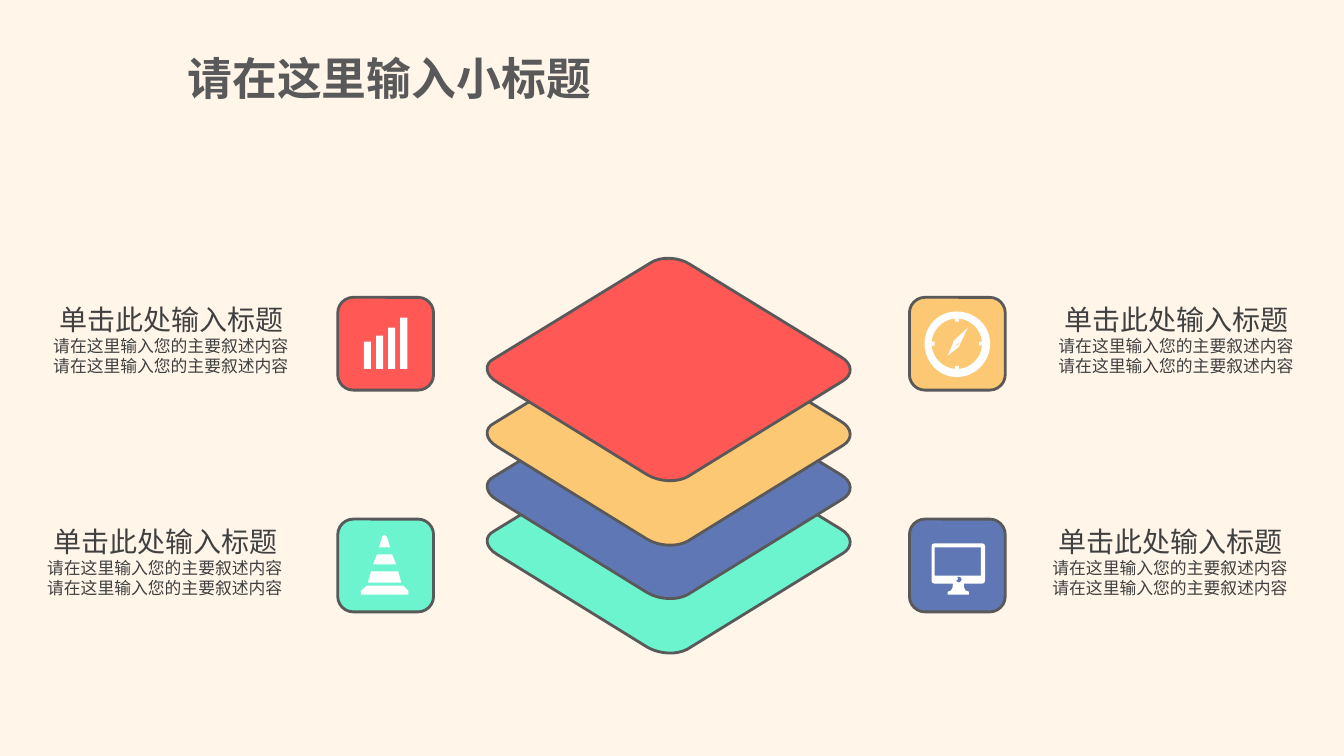
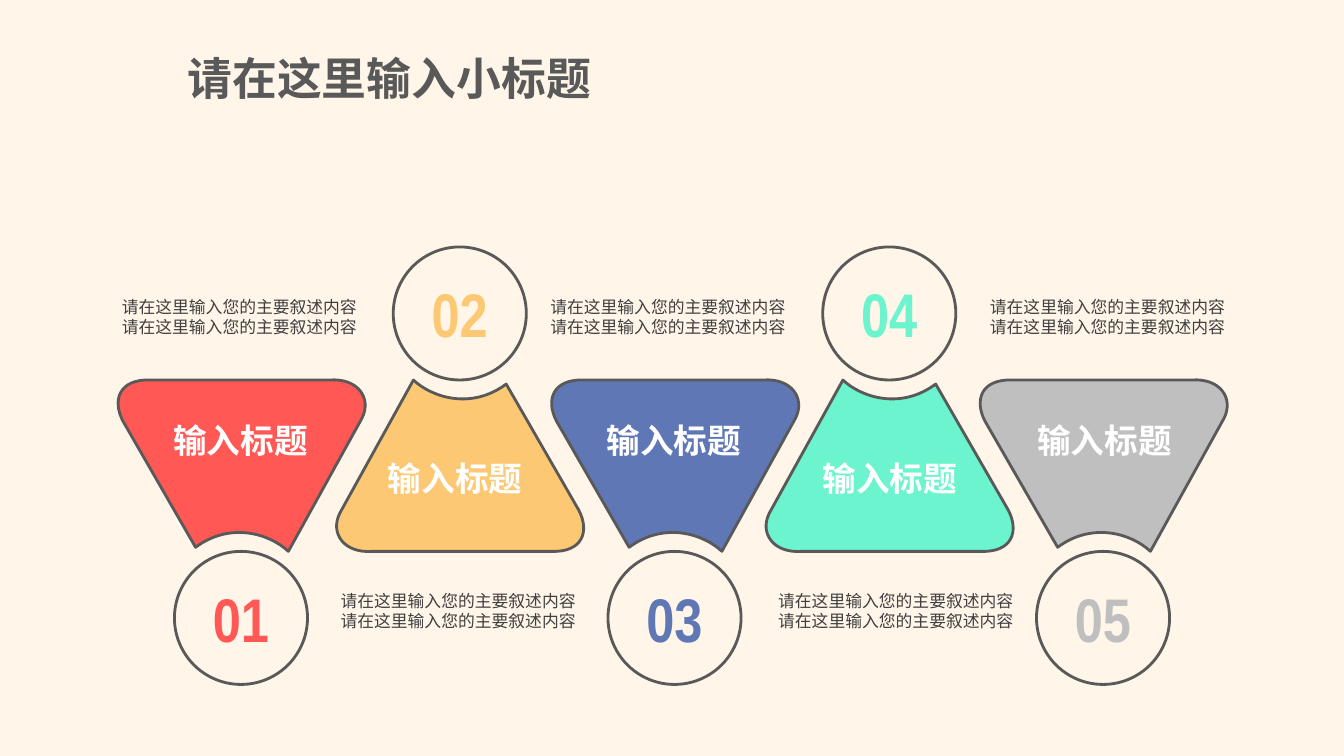
from lxml import etree
from pptx import Presentation
from pptx.dml.color import RGBColor
from pptx.enum.shapes import MSO_SHAPE
from pptx.enum.text import MSO_ANCHOR, MSO_AUTO_SIZE, PP_ALIGN
from pptx.oxml.ns import qn
from pptx.util import Inches, Pt

RECTANGLE, ROUNDED, ELLIPSE = MSO_SHAPE.RECTANGLE, MSO_SHAPE.ROUNDED_RECTANGLE, MSO_SHAPE.OVAL
TOP = MSO_ANCHOR.TOP
LEFT, CENTER = PP_ALIGN.LEFT, PP_ALIGN.CENTER
FIXED_SIZE = MSO_AUTO_SIZE.NONE

CREAM, INK, TEXT, WHITE = "FFF5E9", "595959", "404040", "FFFFFF"
RED, YELLOW, BLUE, GREEN, GREY = "FF5855", "FDC873", "6077B6", "6BF4CD", "BFBFBF"
CJK_FONT = "Noto Sans CJK SC"

TITLE_STYLE = {"size": 32, "bold": True, "color": INK, "leading": 38.6}
LABEL_STYLE = {"size": 24, "bold": True, "color": WHITE, "leading": 29}
HEADING_STYLE = {"size": 20, "color": TEXT, "leading": 24, "indent": 0.06}
BODY_STYLE = {"size": 12, "color": TEXT, "leading": 14.3}
NUMBER_STYLE = {"size": 44, "bold": True, "name": "Arial Narrow", "align": CENTER}

BODY_LINES = [("请在这里输入您的主要叙述内容", BODY_STYLE)] * 2
HEADED_LINES = [("单击此处输入标题", HEADING_STYLE)] + BODY_LINES

LAYER_PATH = [
    (0.1, 1.02), (1.65, 0.07), (1.75, 0, 1.93, 0.01, 2.04, 0.08),
    (3.54, 1), (3.66, 1.07, 3.66, 1.18, 3.56, 1.24),
    (2.02, 2.19), (1.91, 2.25, 1.74, 2.24, 1.62, 2.17),
    (0.13, 1.25), (0.01, 1.18, 0, 1.07, 0.1, 1.02),
]
WEDGE_PATH = [
    (0.77, 1.66), (0.05, 0.41), (-0.06, 0.2, 0.01, -0.01, 0.32, 0),
    (2.1, 0), (2.38, -0.02, 2.52, 0.18, 2.42, 0.38),
    (1.69, 1.7), (1.51, 1.53, 1.12, 1.4, 0.77, 1.66),
]
RING_PATHS = [
    [(0.32, 0), (0.14, 0, 0, 0.14, 0, 0.32), (0, 0.5, 0.14, 0.65, 0.32, 0.65),
     (0.5, 0.65, 0.65, 0.5, 0.65, 0.32), (0.65, 0.14, 0.5, 0, 0.32, 0)],
    [(0.34, 0.57), (0.34, 0.54), (0.3, 0.54), (0.3, 0.57),
     (0.18, 0.56, 0.08, 0.46, 0.07, 0.34), (0.1, 0.34), (0.1, 0.3), (0.07, 0.3),
     (0.08, 0.18, 0.18, 0.08, 0.3, 0.07), (0.3, 0.1), (0.34, 0.1), (0.34, 0.07),
     (0.46, 0.08, 0.56, 0.18, 0.57, 0.3), (0.54, 0.3), (0.54, 0.34), (0.57, 0.34),
     (0.56, 0.46, 0.46, 0.56, 0.34, 0.57)],
]
NEEDLE_PATHS = [
    [(0.05, 0.16), (0, 0.28), (0.11, 0.19), (0.12, 0.17), (0.2, 0), (0.06, 0.13)],
    [(0.09, 0.15), (0.1, 0.15, 0.11, 0.15, 0.11, 0.16), (0.11, 0.17, 0.1, 0.18, 0.09, 0.18),
     (0.08, 0.18, 0.08, 0.17, 0.08, 0.16), (0.08, 0.15, 0.08, 0.15, 0.09, 0.15)],
]
CONE_PATHS = [
    [(0.47, 0.62), (0, 0.62), (0, 0.58), (0.06, 0.53), (0.42, 0.53), (0.47, 0.58)],
    [(0.07, 0.5), (0.1, 0.39), (0.37, 0.39), (0.4, 0.5)],
    [(0.12, 0.32), (0.16, 0.22), (0.31, 0.22), (0.35, 0.32)],
    [(0.21, 0.05), (0.21, 0.05, 0.23, 0, 0.26, 0.05), (0.29, 0.15), (0.18, 0.15)],
]
MONITOR_PATHS = [
    [(0.5, 0), (0.03, 0), (0.01, 0, 0, 0.01, 0, 0.03),
     (0, 0.37), (0, 0.39, 0.01, 0.4, 0.03, 0.4),
     (0.21, 0.4), (0.21, 0.4, 0.22, 0.48, 0.16, 0.48), (0.16, 0.51),
     (0.37, 0.51), (0.37, 0.48), (0.31, 0.48, 0.32, 0.4, 0.32, 0.4),
     (0.5, 0.4), (0.52, 0.4, 0.53, 0.39, 0.53, 0.37),
     (0.53, 0.03), (0.53, 0.01, 0.52, 0, 0.5, 0)],
    [(0.24, 0.36), (0.24, 0.34, 0.25, 0.33, 0.27, 0.33), (0.28, 0.33, 0.3, 0.34, 0.3, 0.36),
     (0.3, 0.37, 0.28, 0.39, 0.27, 0.39), (0.25, 0.39, 0.24, 0.37, 0.24, 0.36)],
    [(0.49, 0.32), (0.03, 0.32), (0.03, 0.04), (0.49, 0.04)],
]


def rgb(value):
    """Turn a hex string into a colour."""
    return RGBColor.from_string(value)


def paint(shape, fill=None, line=None):
    """Set fill and outline, and drop the shadow."""
    shape.shadow.inherit = False
    if fill:
        shape.fill.solid()
        shape.fill.fore_color.rgb = rgb(fill)
    else:
        shape.fill.background()
    if line:
        shape.line.color.rgb = rgb(line)
        shape.line.width = Pt(2)
    else:
        shape.line.fill.background()
    return shape


def add_shape(slide, kind, box, fill=None, line=None):
    """Add a preset shape at a box given in inches."""
    shape = slide.shapes.add_shape(kind, *(Inches(value) for value in box))
    return paint(shape, fill, line)


def add_segment(outline, tag, values=()):
    """Append one drawing command with its points to an outline."""
    segment = etree.SubElement(outline, qn(tag))
    for x, y in zip(values[::2], values[1::2]):
        point = etree.SubElement(segment, qn("a:pt"))
        point.set("x", str(Inches(x)))
        point.set("y", str(Inches(y)))


def add_outline(slide, paths, box, fill, line=None):
    """Add a freeform whose closed paths, lines and curves are relative to its box."""
    left, top, width, height = (Inches(value) for value in box)
    builder = slide.shapes.build_freeform(left, top)
    builder.add_line_segments([(left + width, top), (left + width, top + height),
                               (left, top + height)])
    shape = builder.convert_to_shape()
    outline = next(shape._element.iter(qn("a:path")))
    for segment in list(outline):
        outline.remove(segment)
    for start, *items in paths:
        add_segment(outline, "a:moveTo", start)
        for item in items:
            add_segment(outline, "a:lnTo" if len(item) == 2 else "a:cubicBezTo", item)
        add_segment(outline, "a:close")
    return paint(shape, fill, line)


def write(shape, lines):
    """Fill a shape with styled paragraphs."""
    frame = shape.text_frame
    settings = {"word_wrap": True, "auto_size": FIXED_SIZE, "vertical_anchor": TOP}
    for name, value in settings.items():
        setattr(frame, name, value)
    for index, (text, style) in enumerate(lines):
        paragraph = frame.add_paragraph() if index else frame.paragraphs[0]
        paragraph.alignment = style.get("align", LEFT)
        if "leading" in style:
            paragraph.line_spacing = Pt(style["leading"])
        if "indent" in style:
            paragraph._p.get_or_add_pPr().set("marL", str(Inches(style["indent"])))
        run = paragraph.add_run()
        run.text = text
        run.font.color.rgb = rgb(style["color"])
        font_values = {"size": Pt(style["size"]), "bold": style.get("bold", False),
                       "name": style.get("name", CJK_FONT)}
        for name, value in font_values.items():
            setattr(run.font, name, value)
        east_asian = etree.SubElement(run._r.get_or_add_rPr(), qn("a:ea"))
        east_asian.set("typeface", CJK_FONT)


def add_text(slide, box, lines):
    """Add a text box at a box given in inches."""
    write(slide.shapes.add_textbox(*(Inches(value) for value in box)), lines)


def add_titled_slide(presentation):
    """Add a title-only slide with the shared title."""
    slide = presentation.slides.add_slide(presentation.slide_layouts[5])
    title = slide.shapes.title
    placement = {"left": 1.76, "top": 0.45, "width": 4.26, "height": 0.64}
    for name, value in placement.items():
        setattr(title, name, Inches(value))
    write(title, [("请在这里输入小标题", TITLE_STYLE)])
    return slide


def add_bars_icon(slide):
    """Draw four rising bars."""
    for index, height in enumerate((0.27, 0.33, 0.41, 0.51)):
        add_shape(slide, RECTANGLE,
                  (3.61 + 0.12 * index, 3.66 - height, 0.07, height), WHITE)


def add_compass_icon(slide):
    """Draw a ring with four ticks, a needle and its hub."""
    add_outline(slide, RING_PATHS, (9.17, 3.09, 0.65, 0.65), WHITE)
    add_outline(slide, NEEDLE_PATHS, (9.4, 3.25, 0.2, 0.28), WHITE)
    add_shape(slide, ELLIPSE, (9.48, 3.4, 0.02, 0.02), WHITE)


def add_cone_icon(slide):
    """Draw a striped traffic cone."""
    add_outline(slide, CONE_PATHS, (3.58, 5.28, 0.47, 0.63), WHITE)


def add_monitor_icon(slide):
    """Draw a desktop monitor with a button."""
    add_outline(slide, MONITOR_PATHS, (9.24, 5.39, 0.54, 0.52), WHITE)
    add_shape(slide, ELLIPSE, (9.46, 5.72, 0.04, 0.04), WHITE)


def add_layers_slide(presentation):
    """Build the stack of four layers with icon tiles."""
    slide = add_titled_slide(presentation)
    for top, color in ((4.25, GREEN), (3.71, BLUE), (3.18, YELLOW), (2.54, RED)):
        add_outline(slide, [LAYER_PATH], (4.8, top, 3.66, 2.24), color, INK)
    tiles = [
        (9.02, 2.95, YELLOW, 10.4, add_compass_icon),
        (9.02, 5.15, BLUE, 10.34, add_monitor_icon),
        (3.35, 5.15, GREEN, 0.37, add_cone_icon),
        (3.35, 2.95, RED, 0.43, add_bars_icon),
    ]
    for left, top, color, text_left, add_icon in tiles:
        add_shape(slide, ROUNDED, (left, top, 0.95, 0.92), color, INK)
        add_icon(slide)
        add_text(slide, (text_left, top, 2.56, 1.38), HEADED_LINES)


def add_steps_slide(presentation):
    """Build five alternating wedges with numbered circles."""
    slide = add_titled_slide(presentation)
    steps = [
        (1.17, RED, 1.62, 1.11),
        (3.34, YELLOW, 3.75, 3.28),
        (5.47, BLUE, 5.92, 5.36),
        (7.6, GREEN, 8.06, 7.62),
        (9.72, GREY, 10.19, 9.72),
    ]
    for number, (left, color, label_left, text_left) in enumerate(steps, 1):
        upright = number % 2 == 0
        circle_top, label_top, text_top = (2.45, 4.49, 5.81) if upright else (5.47, 4.11, 2.9)
        add_shape(slide, ELLIPSE, (left + 0.56, circle_top, 1.32, 1.32), line=INK)
        add_text(slide, (left + 0.78, circle_top + 0.24, 0.88, 0.84),
                 [(f"{number:02d}", {**NUMBER_STYLE, "color": color})])
        wedge = add_outline(slide, [WEDGE_PATH], (left, 3.77, 2.45, 1.7), color, INK)
        if upright:
            wedge.rotation = 180
        add_text(slide, (label_left, label_top, 1.56, 0.5), [("输入标题", LABEL_STYLE)])
        add_text(slide, (text_left, text_top, 2.56, 1.04), BODY_LINES)


def main():
    """Build and save the presentation."""
    presentation = Presentation()
    presentation.slide_width = Inches(13.33)
    presentation.slide_height = Inches(7.5)
    background = presentation.slide_master.background.fill
    background.solid()
    background.fore_color.rgb = rgb(CREAM)
    add_layers_slide(presentation)
    add_steps_slide(presentation)
    presentation.save("out.pptx")


if __name__ == "__main__":
    main()
